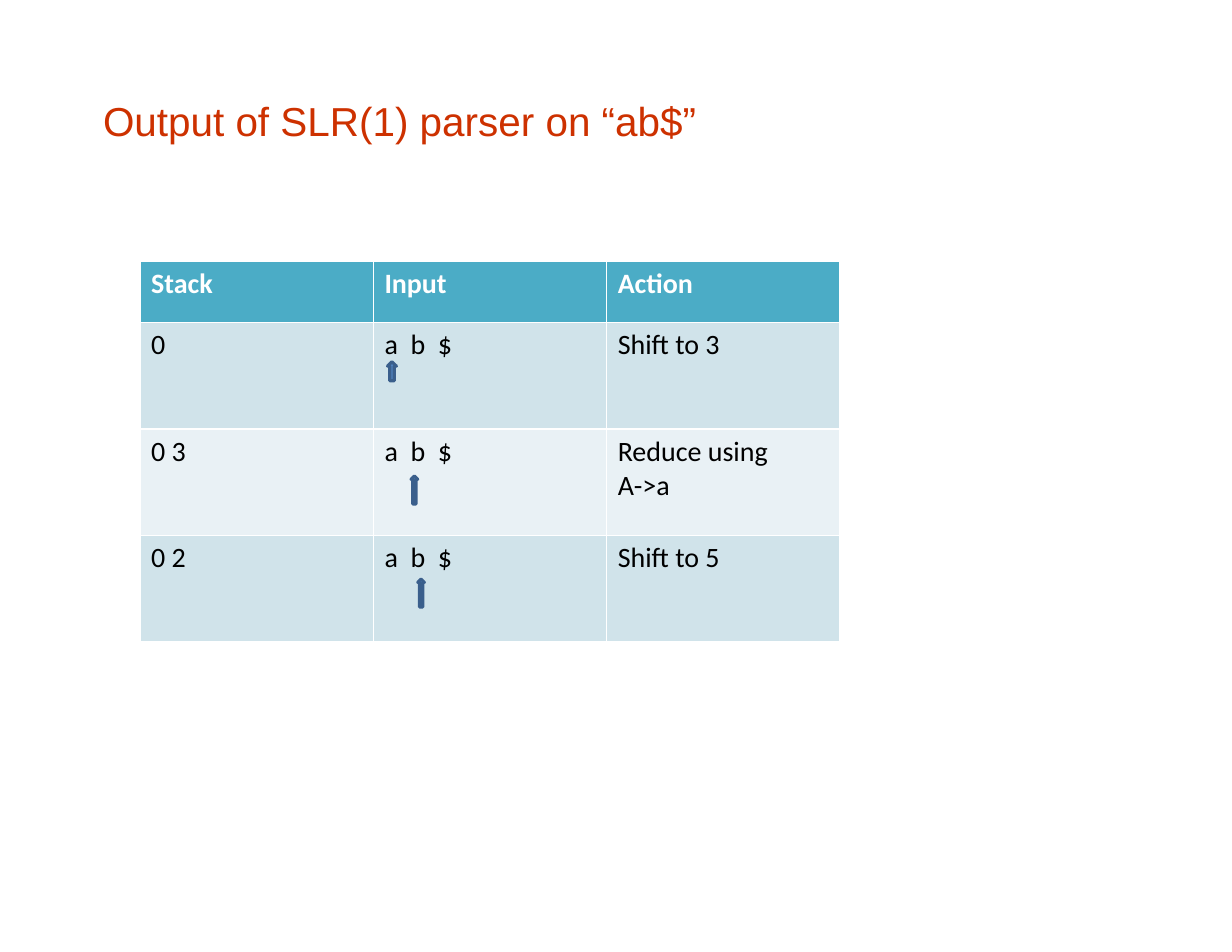
from pptx import Presentation
from pptx.dml.color import RGBColor
from pptx.enum.shapes import MSO_SHAPE
from pptx.enum.text import MSO_ANCHOR, PP_ALIGN
from pptx.util import Inches, Pt


def rgb(value):
    return RGBColor.from_string(value)


def add_run(p, text, font, size, color, bold=False):
    r = p.add_run()
    r.text = text
    r.font.name = font
    r.font.size = Pt(size)
    r.font.color.rgb = rgb(color)
    r.font.bold = bold


prs = Presentation()
prs.slide_width, prs.slide_height = Inches(11), Inches(8.5)
s = prs.slides.add_slide(prs.slide_layouts[5])

# Title
title = s.shapes.title
title.left, title.top = Inches(0.92), Inches(0.86)
title.width, title.height = Inches(5.64), Inches(0.44)
tf = title.text_frame
tf.margin_left = tf.margin_top = tf.margin_right = tf.margin_bottom = 0
tf.vertical_anchor = MSO_ANCHOR.TOP
tf.word_wrap = True
p = tf.paragraphs[0]
p.alignment = PP_ALIGN.LEFT
add_run(p, "Output of SLR(1) parser on “ab$”", "Arial", 26, "CD3100")

# Parser trace; the default table style draws the white borders
trace = [
    ["Stack", "Input", "Action"],
    ["0", "a  b  $", "Shift to 3"],
    ["0 3", "a  b  $", "Reduce using \nA->a"],
    ["0 2", "a  b  $", "Shift to 5"],
]
fills = ["4BACC6", "D0E3EA", "E9F1F5", "D0E3EA"]
heights = [0.55, 0.95, 0.95, 0.95]
table = s.shapes.add_table(len(trace), 3, Inches(1.25), Inches(2.33),
                           Inches(6.25), Inches(sum(heights))).table
for i, (row, fill, height) in enumerate(zip(trace, fills, heights)):
    table.rows[i].height = Inches(height)
    header = i == 0
    for j, text in enumerate(row):
        cell = table.cell(i, j)
        cell.fill.solid()
        cell.fill.fore_color.rgb = rgb(fill)
        p = cell.text_frame.paragraphs[0]
        for n, line in enumerate(text.split("\n")):
            if n:
                p.add_line_break()
            add_run(p, line, "Calibri", 18, "FFFFFF" if header else "000000", header)

# Arrows under the current input symbol
for x, y, w, h in [(3.46, 3.23, 0.08, 0.17),
                   (3.67, 4.25, 0.06, 0.25),
                   (3.73, 5.17, 0.06, 0.25)]:
    sp = s.shapes.add_shape(MSO_SHAPE.UP_ARROW, Inches(x), Inches(y), Inches(w), Inches(h))
    sp.shadow.inherit = False
    sp.fill.solid()
    sp.fill.fore_color.rgb = rgb("4F81BD")
    sp.line.color.rgb = rgb("3A5F8C")
    sp.line.width = Pt(2)

prs.save("out.pptx")
